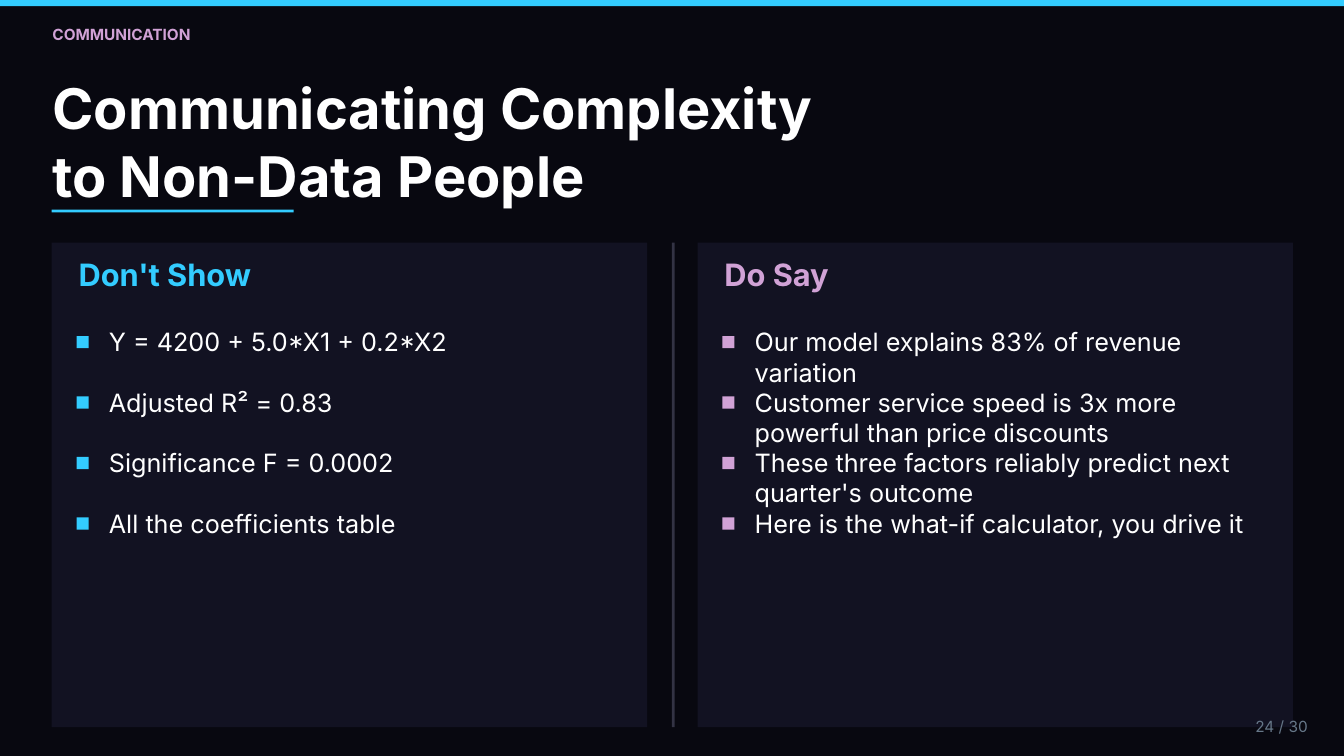
from pptx import Presentation
from pptx.dml.color import RGBColor
from pptx.enum.shapes import MSO_SHAPE
from pptx.enum.text import PP_ALIGN
from pptx.util import Pt

PX = 9144  # 100 px to the inch
COLORS = {
    "background": "080810",
    "panel": "121222",
    "divider": "333344",
    "cyan": "33CCFF",
    "mauve": "D1A2D6",
    "white": "FFFFFF",
    "grey": "667788",
}
COLUMNS = [
    (77, "Don't Show", "cyan", [
        "Y = 4200 + 5.0*X1 + 0.2*X2",
        "Adjusted R² = 0.83",
        "Significance F = 0.0002",
        "All the coefficients table",
    ]),
    (1038, "Do Say", "mauve", [
        "Our model explains 83% of revenue variation",
        "Customer service speed is 3x more powerful than price discounts",
        "These three factors reliably predict next quarter's outcome",
        "Here is the what-if calculator, you drive it",
    ]),
]
PANEL_TOP, PANEL_WIDTH, PANEL_HEIGHT = 361, 886, 721
FIRST_ITEM_TOP, ITEM_PITCH = 486, 90

deck = Presentation()
deck.slide_width, deck.slide_height = 2000 * PX, 1125 * PX
page = deck.slides.add_slide(deck.slide_layouts[6])
page.background.fill.solid()
page.background.fill.fore_color.rgb = RGBColor.from_string(COLORS["background"])


def add_block(left, top, width, height, color):
    block = page.shapes.add_shape(
        MSO_SHAPE.RECTANGLE, left * PX, top * PX, width * PX, height * PX)
    block.shadow.inherit = False
    block.fill.solid()
    block.fill.fore_color.rgb = RGBColor.from_string(COLORS[color])
    block.line.fill.background()


def add_text(left, top, width, height, lines, size, color, bold=False,
             align=PP_ALIGN.LEFT):
    """Add a box without margins, one paragraph per line, spaced at 1.2 x size."""
    box = page.shapes.add_textbox(left * PX, top * PX, width * PX, height * PX)
    frame = box.text_frame
    frame.word_wrap = True
    frame.margin_left = frame.margin_right = 0
    frame.margin_top = frame.margin_bottom = 0
    frame.text = "\n".join(lines)
    for paragraph in frame.paragraphs:
        paragraph.alignment = align
        paragraph.line_spacing = Pt(size * 1.2)
        paragraph.font.name = "Inter"
        paragraph.font.size = Pt(size)
        paragraph.font.bold = bold
        paragraph.font.color.rgb = RGBColor.from_string(COLORS[color])


# Header
add_block(0, 0, 2000, 9, "cyan")
add_text(78, 37, 1181, 28, ["COMMUNICATION"], 16.5, "mauve", bold=True)
add_text(78, 110, 1139, 200,
         ["Communicating Complexity", "to Non-Data People"], 60, "white", bold=True)
add_block(77, 312, 360, 4, "cyan")

# Two panels with a divider between them
for left, heading, accent, items in COLUMNS:
    add_block(left, PANEL_TOP, PANEL_WIDTH, PANEL_HEIGHT, "panel")
    add_text(left + 40, 380, 806, 55, [heading], 33, accent, bold=True)
    for row, item in enumerate(items):
        top = FIRST_ITEM_TOP + row * ITEM_PITCH
        add_block(left + 37, top + 14, 18, 18, accent)
        add_text(left + 85, top, 761, 45, [item], 27, "white")
add_block(1000, PANEL_TOP, 4, PANEL_HEIGHT, "divider")

# Page number
add_text(1801, 1067, 145, 28, ["24 / 30"], 16.5, "grey", align=PP_ALIGN.RIGHT)

deck.save("out.pptx")
